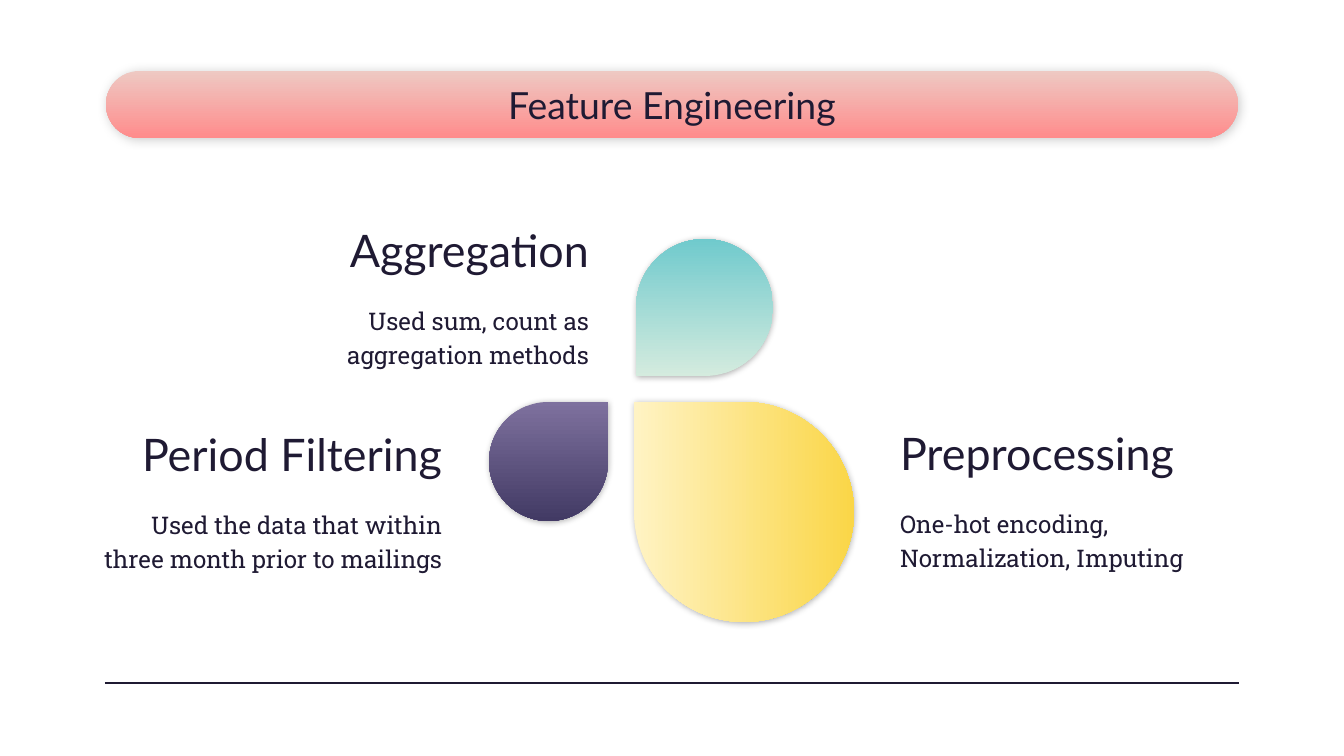
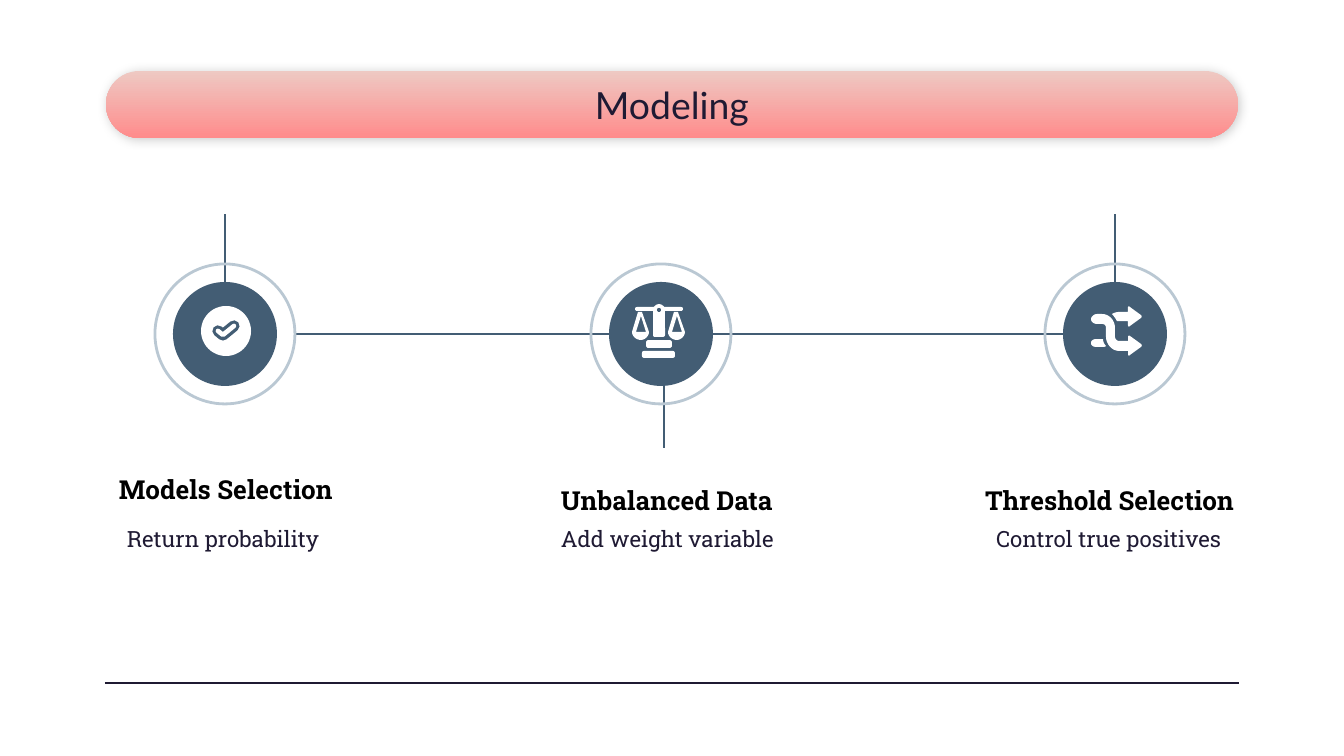
import pptx
import pptx.dml.color
import pptx.enum.shapes
import pptx.enum.text
import pptx.oxml
import pptx.oxml.ns
import pptx.util

SCALE = 914400 / 134.4  # EMU per px
WIDTH, HEIGHT = 1344, 756
INK, NAVY, MIST, WHITE, BLACK = "1F1A33", "435D74", "BAC8D3", "FFFFFF", "000000"
HEAD_FONT, BODY_FONT = "Lato", "Roboto Slab"
SHAPE = pptx.enum.shapes.MSO_SHAPE
ALIGN = pptx.enum.text.PP_ALIGN
ANCHOR = pptx.enum.text.MSO_ANCHOR
PAD = 13

# Icon outlines inside a 104 px disc: pairs are corners, sixes are cubic curves
PAN = [[(29, 30), (23, 50), (23, 54, 27, 58, 32, 58), (36, 58, 40, 54, 40, 50), (33, 30)],
       [(32, 34), (37, 50), (27, 50)]]
SHUFFLE = [
    [(34, 32), (31, 32, 28, 35, 28, 37), (28, 40, 31, 42, 34, 42), (39, 42),
     (42, 42, 43, 44, 43, 46), (43, 55), (43, 62, 49, 69, 56, 69), (65, 69), (65, 72),
     (65, 74, 66, 74, 67, 73), (78, 65), (79, 64, 79, 63, 78, 62), (67, 54),
     (66, 53, 65, 54, 65, 55), (65, 59), (56, 59), (54, 59, 52, 57, 52, 55), (52, 46),
     (52, 38, 46, 32, 39, 32)],
    [(39, 57), (34, 57), (31, 57, 28, 58, 28, 61), (28, 64, 31, 65, 34, 65), (39, 65),
     (41, 65, 42, 65, 43, 64), (41, 62, 40, 59, 40, 57)],
    [(49, 32), (51, 34, 53, 37, 54, 39), (65, 39), (65, 42), (65, 45, 66, 45, 67, 44),
     (78, 36), (79, 35, 79, 34, 78, 33), (67, 25), (66, 24, 65, 24, 65, 26), (65, 30),
     (56, 30), (53, 30, 51, 31, 49, 32)],
]
TICK = [(45, 49), (50, 53), (61, 44)]


def px(length):
    return pptx.util.Emu(round(length * SCALE))


def color(hex_code):
    return pptx.dml.color.RGBColor.from_string(hex_code)


def paint(shape, fill=None, line=None, weight=1.5):
    """Fill with one colour, a (top, bottom) gradient, or nothing."""
    shape.shadow.inherit = False
    if fill is None:
        shape.fill.background()
    elif isinstance(fill, tuple):
        shape.fill.gradient()
        shape.fill.gradient_angle = 270
        for stop, hex_code in zip(shape.fill.gradient_stops, fill):
            stop.color.rgb = color(hex_code)
    else:
        shape.fill.solid()
        shape.fill.fore_color.rgb = color(fill)
    if line:
        shape.line.color.rgb = color(line)
        shape.line.width = pptx.util.Pt(weight)
    else:
        shape.line.fill.background()
    return shape


def add_shape(slide, kind, box, fill=None, line=None, corner=None):
    shape = slide.shapes.add_shape(kind, *map(px, box))
    if corner is not None:
        shape.adjustments[0] = corner
    return paint(shape, fill, line)


def cast_shadow(shape, alpha, blur):
    effects = shape._element.spPr.find(pptx.oxml.ns.qn("a:effectLst"))
    effects.append(pptx.oxml.parse_xml(
        f'<a:outerShdw {pptx.oxml.ns.nsdecls("a")} blurRad="{round(blur * 12700)}" '
        f'dist="10160" dir="3960000" algn="bl" rotWithShape="0"><a:srgbClr val="{BLACK}">'
        f'<a:alpha val="{alpha * 1000}"/></a:srgbClr></a:outerShdw>'))


def add_line(slide, start, end, hex_code, weight):
    line = slide.shapes.add_connector(
        pptx.enum.shapes.MSO_CONNECTOR.STRAIGHT, *map(px, (*start, *end)))
    line.line.color.rgb = color(hex_code)
    line.line.width = pptx.util.Pt(weight)
    line._element.spPr.append(
        pptx.oxml.parse_xml(f'<a:effectLst {pptx.oxml.ns.nsdecls("a")}/>'))
    return line


def trace(outline, steps=8):
    """Turn corners and cubic curves into points in EMU."""
    points = []
    for part in outline:
        if len(part) == 2:
            points.append(part)
            continue
        knots = [points[-1], part[:2], part[2:4], part[4:]]
        for step in range(1, steps + 1):
            t = step / steps
            weights = ((1 - t) ** 3, 3 * t * (1 - t) ** 2, 3 * t * t * (1 - t), t ** 3)
            points.append(tuple(sum(w * knot[axis] for w, knot in zip(weights, knots))
                                for axis in (0, 1)))
    return [(px(x), px(y)) for x, y in points]


def add_outline(slide, left, top, outlines, closed=True):
    first, *others = map(trace, outlines)
    builder = slide.shapes.build_freeform(*first[0])
    builder.add_line_segments(first[1:], close=closed)
    for points in others:
        builder.move_to(*points[0])
        builder.add_line_segments(points[1:], close=closed)
    return builder.convert_to_shape(px(left), px(top))


def write(frame, text, size, font=BODY_FONT, ink=INK, bold=False, align=ALIGN.LEFT,
          anchor=ANCHOR.TOP, spacing=1.0, after=0, inset=PAD):
    frame.word_wrap = True
    frame.auto_size = pptx.enum.text.MSO_AUTO_SIZE.NONE
    frame.vertical_anchor = anchor
    frame.margin_left = frame.margin_right = px(PAD)
    frame.margin_top = frame.margin_bottom = px(inset)
    paragraph = frame.paragraphs[0]
    paragraph.alignment = align
    paragraph.line_spacing = spacing
    paragraph.space_before = pptx.util.Pt(0)
    paragraph.space_after = pptx.util.Pt(after)
    run = paragraph.add_run()
    run.text = text
    run.font.name, run.font.size, run.font.bold = font, pptx.util.Pt(size), bold
    run.font.color.rgb = color(ink)


def add_text(slide, box, text, size, **style):
    write(slide.shapes.add_textbox(*map(px, box)).text_frame, text, size, **style)


def share_frame(slide):
    """Draw the title band and foot rule, then hand them to the layout."""
    band = add_shape(slide, SHAPE.ROUNDED_RECTANGLE, (106, 71, 1132, 67),
                     ("EEC9C3", "FF8C8C"), corner=0.5)
    cast_shadow(band, alpha=20, blur=5.6)
    rule = add_line(slide, (105, 683), (1239, 683), INK, 0.75)
    for number, part in enumerate((band, rule), 100):
        part._element.xpath(".//p:cNvPr")[0].set("id", str(number))
        slide.slide_layout.shapes._spTree.append(part._element)


def add_titled_slide(deck, text):
    slide = deck.slides.add_slide(deck.slide_layouts[5])
    title = slide.shapes.title
    title.left, title.top, title.width, title.height = map(px, (332, 71, 680, 67))
    write(title.text_frame, text, 20, font=HEAD_FONT, align=ALIGN.CENTER,
          anchor=ANCHOR.MIDDLE)
    return slide


# Feature engineering: petals with topics
def add_petal(slide, left, top, size, turn, tones):
    petal = add_shape(slide, SHAPE.TEAR, (left, top, size, size), tones, corner=1)
    petal.rotation = turn
    cast_shadow(petal, alpha=30, blur=3.4)


def add_topic(slide, left, top, width, heading, detail, align):
    add_text(slide, (left, top, width, 66), heading, 24, font=HEAD_FONT, align=align,
             after=16, inset=0)
    add_text(slide, (left, top + 66, width, 103), detail, 13, align=align, spacing=1.15,
             after=16)


def build_features(slide):
    add_petal(slide, 634, 402, 220, 270, ("FFF3C4", "FAD647"))
    add_petal(slide, 489, 402, 119, 0, ("7E719E", "423A64"))
    add_petal(slide, 636, 239, 137, 180, ("D4EBDE", "70CACD"))
    add_topic(slide, 261, 223, 341, "Aggregation",
              "Used sum, count as aggregation methods", ALIGN.RIGHT)
    add_topic(slide, 79, 427, 376, "Period Filtering",
              "Used the data that within three month prior to mailings", ALIGN.RIGHT)
    add_topic(slide, 887, 426, 390, "Preprocessing",
              "One-hot encoding, Normalization, Imputing", ALIGN.LEFT)


# Modeling: icons, each placed from the corner of its disc
def draw_tick(slide, left, top):
    add_shape(slide, SHAPE.OVAL, (left + 28, top + 24, 50, 50), WHITE)
    for stroke, weight in ((NAVY, 6), (WHITE, 2.5)):
        tick = paint(add_outline(slide, left, top, [TICK], closed=False),
                     line=stroke, weight=weight)
        tick.line._ln.set("cap", "rnd")


def draw_scales(slide, left, top):
    bars = [((33, 69, 33, 7), 0.3), ((37, 58, 26, 8), 0.3), ((26, 25, 48, 4), 0.5),
            ((44, 26, 12, 29), 0.15)]
    for (x, y, width, height), corner in bars:
        add_shape(slide, SHAPE.ROUNDED_RECTANGLE, (left + x, top + y, width, height),
                  WHITE, corner=corner)
    for inset, size, fill in ((44, 12, WHITE), (48, 4, NAVY)):
        add_shape(slide, SHAPE.OVAL, (left + inset, top + inset - 22, size, size), fill)
    for shift in (0, 36):
        paint(add_outline(slide, left + shift, top, PAN), WHITE)


def draw_shuffle(slide, left, top):
    for outline in SHUFFLE:
        paint(add_outline(slide, left, top, [outline]), WHITE)


def add_milestone(slide, left, top, stem, draw_icon):
    """Ring of 140 px with a disc inside; stem is (x, from, to) in the ring's box."""
    x, start, end = stem
    add_line(slide, (left + x, top + start), (left + x, top + end), NAVY, 0.75)
    add_shape(slide, SHAPE.OVAL, (left, top, 140, 140), line=MIST)
    add_shape(slide, SHAPE.OVAL, (left + 18, top + 18, 104, 104), NAVY)
    draw_icon(slide, left + 18, top + 18)


def add_caption(slide, left, width, heading, indent, detail, **style):
    add_text(slide, (left, 456, width, 67), heading, 14, ink=BLACK, bold=True, **style)
    add_text(slide, (left + indent, 512, width, 114), detail, 12, after=16)


def build_modeling(slide):
    add_line(slide, (296, 334), (1063, 334), NAVY, 1.5)
    rising, hanging = (70, 18, -50), (73, 122, 184)
    for left, stem, draw_icon in ((155, rising, draw_tick), (591, hanging, draw_scales),
                                  (1045, rising, draw_shuffle)):
        add_milestone(slide, left, 264, stem, draw_icon)
    add_caption(slide, 83, 263, "Models Selection", 31, "Return probability",
                align=ALIGN.RIGHT, spacing=1.15, after=16)
    add_caption(slide, 548, 263, "Unbalanced Data", 0, "Add weight variable", spacing=1.5)
    add_caption(slide, 972, 286, "Threshold Selection", 11, "Control true positives",
                spacing=1.5)


def main():
    deck = pptx.Presentation()
    deck.slide_width, deck.slide_height = px(WIDTH), px(HEIGHT)
    features = add_titled_slide(deck, "Feature Engineering")
    share_frame(features)
    build_features(features)
    build_modeling(add_titled_slide(deck, "Modeling"))
    deck.save("out.pptx")


if __name__ == "__main__":
    main()
